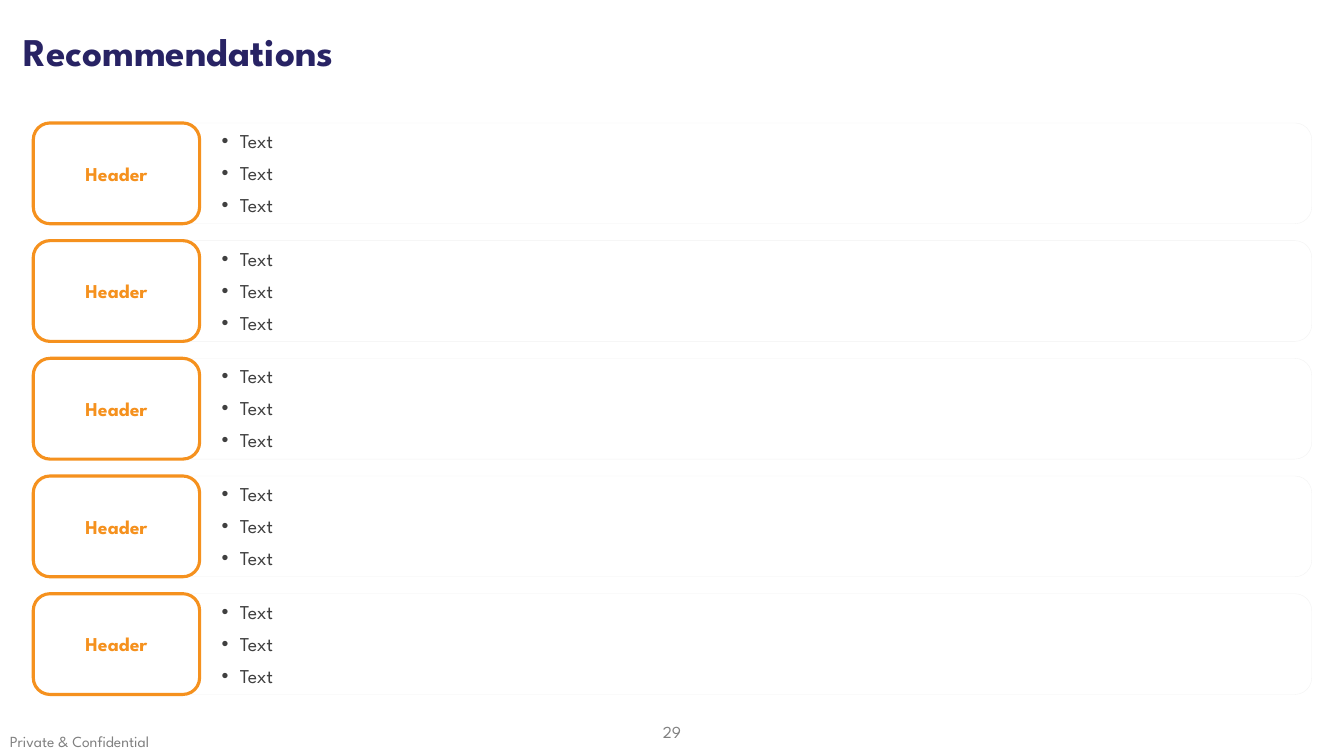
from pptx import Presentation
from pptx import util as u
from pptx.dml.color import RGBColor
from pptx.enum import shapes, text
from pptx.oxml import parse_xml
from pptx.oxml.ns import nsdecls

NAVY = RGBColor(0x28, 0x23, 0x64)
ORANGE = RGBColor(0xF5, 0x91, 0x1E)
WHITE = RGBColor(0xFF, 0xFF, 0xFF)
PALE = RGBColor(0xF2, 0xF2, 0xF2)
DARK = RGBColor(0x40, 0x40, 0x40)
GREY = RGBColor(0x80, 0x80, 0x80)

FIRST_TOP, LAST_TOP = 1.22, 5.89
ROWS = [("Header", ["Text", "Text", "Text"])] * 5


class Deck:
    font = "League Spartan"

    def __init__(self):
        self.prs = Presentation()
        self.prs.slide_width = u.Inches(13.33)
        self.prs.slide_height = u.Inches(7.5)
        self.s = self.prs.slides.add_slide(self.prs.slide_layouts[5])

    def run(self, p, words, size, color, bold=False):
        r = p.add_run()
        r.text = words
        r.font.name = self.font
        r.font.size = u.Pt(size)
        r.font.bold = bold
        r.font.color.rgb = color

    def indent(self, p, left, first):
        """Set the left margin and first-line indent, in inches."""
        pPr = p._p.get_or_add_pPr()
        pPr.set("marL", str(u.Inches(left)))
        pPr.set("indent", str(u.Inches(first)))
        return pPr

    def title(self, words):
        sp = self.s.shapes.title
        sp.left, sp.top = u.Inches(0), u.Inches(0.01)
        sp.width, sp.height = u.Inches(13.33), u.Inches(1.05)
        tf = sp.text_frame
        tf.vertical_anchor = text.MSO_ANCHOR.MIDDLE
        p = tf.paragraphs[0]
        p.alignment = text.PP_ALIGN.LEFT
        p.line_spacing = 0.9
        self.indent(p, 0.13, 0)
        self.run(p, words, 28, NAVY, True)

    def text_frame(self, box):
        sp = self.s.shapes.add_textbox(*map(u.Inches, box))
        tf = sp.text_frame
        tf.word_wrap = True
        return tf

    def label(self, box, words, size, align=text.PP_ALIGN.LEFT,
              anchor=text.MSO_ANCHOR.TOP):
        tf = self.text_frame(box)
        tf.vertical_anchor = anchor
        p = tf.paragraphs[0]
        p.alignment = align
        self.run(p, words, size, GREY)

    def bullets(self, box, items):
        tf = self.text_frame(box)
        tf.auto_size = text.MSO_AUTO_SIZE.SHAPE_TO_FIT_TEXT
        for i, item in enumerate(items):
            p = tf.add_paragraph() if i else tf.paragraphs[0]
            if i:
                p.space_before = u.Pt(6)
            pPr = self.indent(p, 0.31, -0.18)
            pPr.append(parse_xml(f'<a:buFont {nsdecls("a")} typeface="Arial"/>'))
            pPr.append(parse_xml(f'<a:buChar {nsdecls("a")} char="•"/>'))
            self.run(p, item, 14, DARK)

    def panel(self, box, line, weight, fill=None):
        sp = self.s.shapes.add_shape(
            shapes.MSO_SHAPE.ROUNDED_RECTANGLE, *map(u.Inches, box))
        sp.shadow.inherit = False
        if fill is None:
            sp.fill.background()
        else:
            sp.fill.solid()
            sp.fill.fore_color.rgb = fill
        sp.line.color.rgb = line
        sp.line.width = u.Pt(weight)
        return sp

    def header(self, box, words):
        tf = self.panel(box, ORANGE, 2.25, WHITE).text_frame
        tf.vertical_anchor = text.MSO_ANCHOR.MIDDLE
        p = tf.paragraphs[0]
        p.alignment = text.PP_ALIGN.CENTER
        self.run(p, words, 14, ORANGE, True)


def main():
    deck = Deck()
    deck.title("Recommendations")
    pitch = (LAST_TOP - FIRST_TOP) / (len(ROWS) - 1)
    for i, (heading, items) in enumerate(ROWS):
        top = FIRST_TOP + i * pitch
        deck.panel((1.56, top, 11.45, 1), PALE, 0.25)
        deck.header((0.33, top, 1.65, 1), heading)
        deck.bullets((1.97, top + 0.01, 10.87, 0.98), items)
    deck.label((6.37, 7.06, 0.59, 0.4), "29", 12,
               text.PP_ALIGN.CENTER, text.MSO_ANCHOR.MIDDLE)
    deck.label((0, 7.21, 3.32, 0.29), "Private & Confidential", 11)
    deck.prs.save("out.pptx")


if __name__ == "__main__":
    main()
